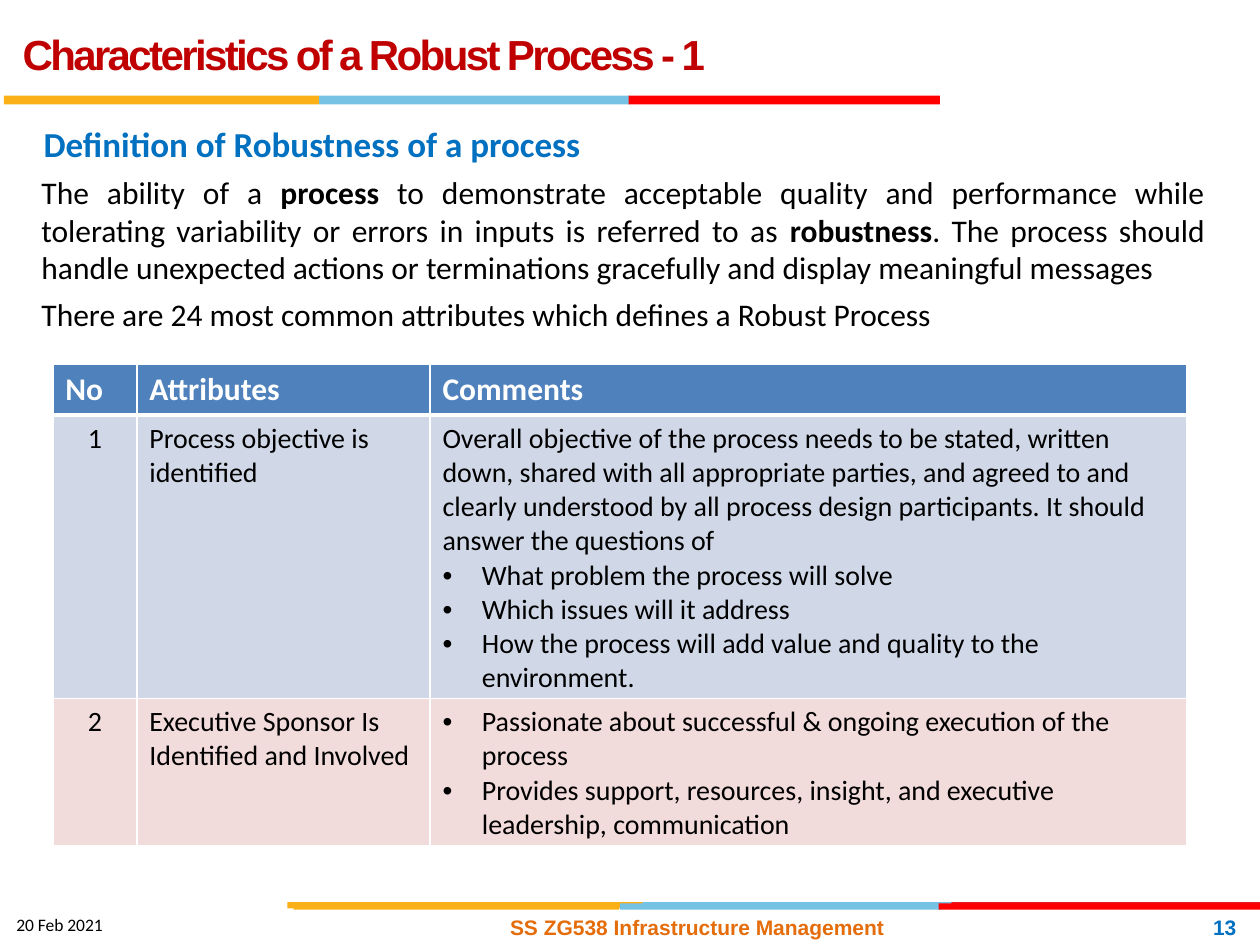
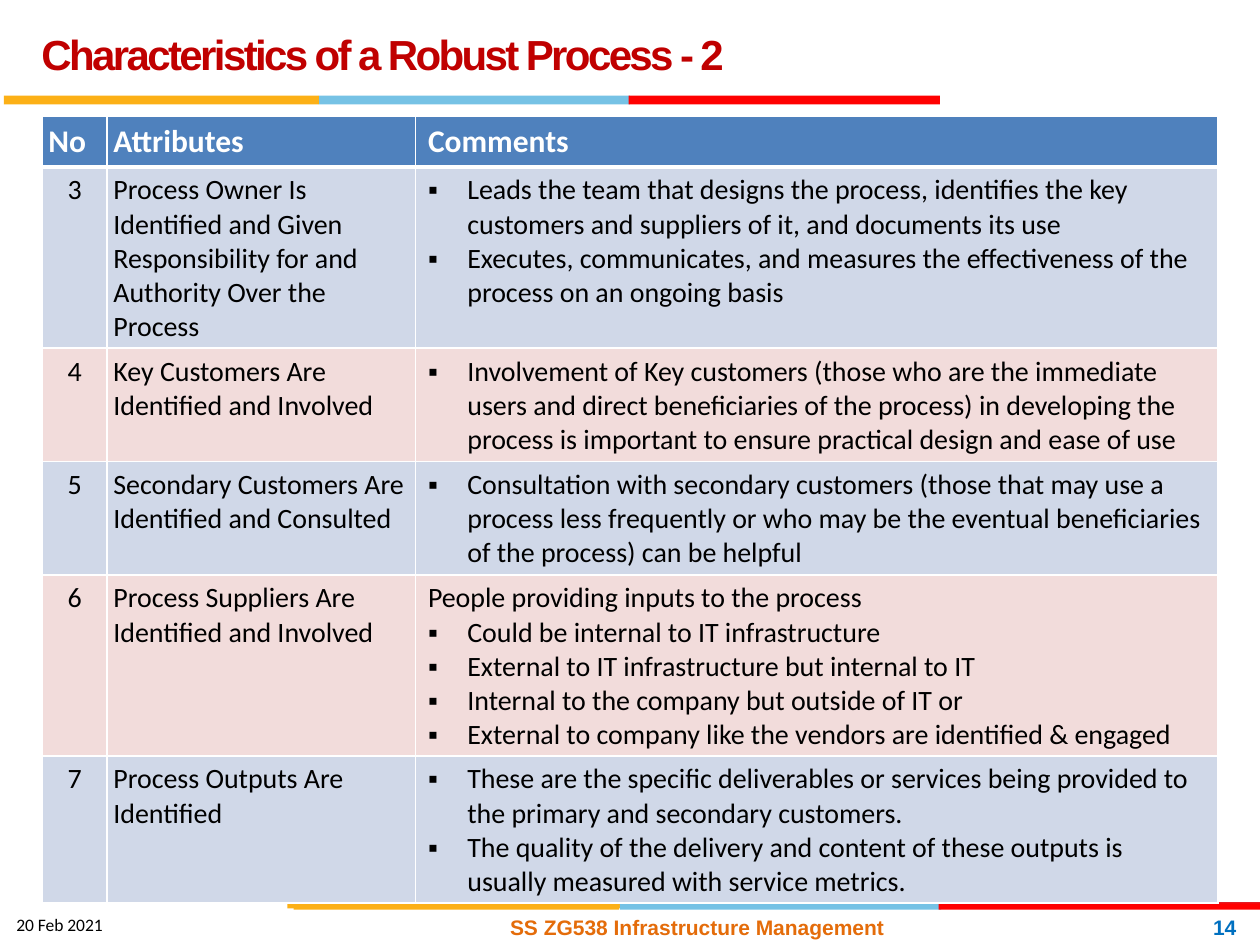
from dataclasses import dataclass

from lxml import etree
from pptx import Presentation
from pptx import util as u
from pptx.dml import color
from pptx.enum import shapes, text
from pptx.oxml import ns

Pt = u.Pt
ALIGN = text.PP_ALIGN


@dataclass(frozen=True)
class Theme:
    heading_font: str = "Arial"
    body_font: str = "Calibri"
    white: str = "FFFFFF"
    black: str = "000000"
    gold: str = "FCB017"
    sky: str = "76C2E5"
    crimson: str = "E31C24"
    red: str = "FF0000"
    title: str = "C00000"
    accent: str = "0070C0"
    course: str = "E46C0A"
    header_fill: str = "4F81BD"
    row_fills: tuple = ("D0D8E8", "F2DCDB")
    title_size: int = 24
    subtitle_size: int = 20
    body_size: int = 18
    cell_size: int = 16
    footer_size: int = 12
    date_size: int = 10


THEME = Theme()
SLIDE_WIDTH, SLIDE_HEIGHT = 720, 540
BULLET_INDENT = 22.5
LINE_HEIGHT, ROW_PADDING, HEADER_HEIGHT = 19.5, 6, 29.2
BANDS = [
    (515.5, 3.6, [(364.3, 183.6, THEME.sky), (543.6, 176.4, THEME.crimson),
                  (164.2, 203, THEME.gold)]),
    (516.2, 3.6, [(354.2, 183.6, THEME.sky), (167.8, 185.8, THEME.gold),
                  (536.4, 183.6, THEME.red)]),
    (54.7, 5, [(182.2, 177.8, THEME.sky), (2.2, 180, THEME.gold),
               (359.3, 177.8, THEME.red)]),
]
HEADINGS = ["No", "Attributes", "Comments"]


class Deck:
    def __init__(self, theme):
        self.theme = theme
        self.presentation = Presentation()
        self.presentation.slide_width = Pt(SLIDE_WIDTH)
        self.presentation.slide_height = Pt(SLIDE_HEIGHT)
        self.slide = None

    def start_slide(self):
        blank = self.presentation.slide_layouts[6]
        self.slide = self.presentation.slides.add_slide(blank)
        for top, height, segments in BANDS:
            for left, width, fill in segments:
                self.band(left, top, width, height, fill)
        date = self.box(2.2, 519, 65, 19.5, wrap=False)
        self.fill_paragraph(date.paragraphs[0], "20 Feb 2021", self.theme.date_size)

    def band(self, left, top, width, height, fill):
        segment = self.slide.shapes.add_shape(
            shapes.MSO_SHAPE.RECTANGLE, Pt(left), Pt(top), Pt(width), Pt(height))
        segment.shadow.inherit = False
        segment.fill.solid()
        segment.fill.fore_color.rgb = color.RGBColor.from_string(fill)
        segment.line.fill.background()

    def box(self, left, top, width, height, wrap=True, anchor=text.MSO_ANCHOR.TOP):
        frame = self.slide.shapes.add_textbox(
            Pt(left), Pt(top), Pt(width), Pt(height)).text_frame
        frame.word_wrap = wrap
        frame.vertical_anchor = anchor
        return frame

    def fill_paragraph(self, paragraph, words, size, ink=None, bold=False, font=None,
                       align=ALIGN.LEFT, indent=0, bullet=None):
        paragraph.alignment = align
        properties = paragraph._p.get_or_add_pPr()
        if bullet:
            properties.set("marL", str(Pt(BULLET_INDENT)))
            properties.set("indent", str(-Pt(BULLET_INDENT)))
            etree.SubElement(properties, ns.qn("a:buFont"), typeface="Arial")
            etree.SubElement(properties, ns.qn("a:buChar"), char=bullet)
        elif indent:
            properties.set("marL", str(Pt(indent)))
            properties.set("indent", "0")
        paragraph.font.name = font or self.theme.body_font
        paragraph.font.size = Pt(size)
        paragraph.font.color.rgb = color.RGBColor.from_string(ink or self.theme.black)
        pieces = words.split("**")
        if len(pieces) == 1:
            paragraph.font.bold = bold
        for position, piece in enumerate(pieces):
            run = paragraph.add_run()
            run.text = piece
            if len(pieces) > 1:
                run.font.bold = position % 2 == 1

    def title(self, words, left):
        frame = self.box(left, 6.5, 553, 41, anchor=text.MSO_ANCHOR.MIDDLE)
        heading = frame.paragraphs[0]
        self.fill_paragraph(heading, words, self.theme.title_size, self.theme.title,
                            bold=True, font=self.theme.heading_font)
        heading.line_spacing = Pt(36)
        heading.runs[0]._r.get_or_add_rPr().set("spc", "-150")

    def footer(self, number):
        for left, width, words, ink, align in (
                (282.2, 232.6, "SS ZG538 Infrastructure Management",
                 self.theme.course, ALIGN.CENTER),
                (545.8, 167.8, str(number), self.theme.accent, ALIGN.RIGHT)):
            frame = self.box(left, 515.5, width, 28.8, anchor=text.MSO_ANCHOR.MIDDLE)
            self.fill_paragraph(frame.paragraphs[0], words, self.theme.footer_size, ink,
                                bold=True, font=self.theme.heading_font, align=align)

    def definition(self, subtitle, statements):
        frame = self.box(-12.2, 66.2, 707.8, 128.9)
        self.fill_paragraph(frame.paragraphs[0], subtitle, self.theme.subtitle_size,
                            self.theme.accent, bold=True, align=ALIGN.JUSTIFY, indent=30)
        for statement in statements:
            paragraph = frame.add_paragraph()
            paragraph.space_before = Pt(5)
            self.fill_paragraph(paragraph, statement, self.theme.body_size,
                                align=ALIGN.JUSTIFY, indent=28.8)

    def style_cell(self, cell, fill, inset, bottom_width=1):
        cell.margin_left = cell.margin_right = Pt(inset)
        cell.margin_top = cell.margin_bottom = Pt(3.6)
        properties = cell._tc.get_or_add_tcPr()
        for side, width in (("L", 1), ("R", 1), ("T", 1), ("B", bottom_width)):
            line = etree.SubElement(properties, ns.qn(f"a:ln{side}"), w=str(Pt(width)))
            paint = etree.SubElement(line, ns.qn("a:solidFill"))
            etree.SubElement(paint, ns.qn("a:srgbClr"), val=self.theme.white)
        cell.fill.solid()
        cell.fill.fore_color.rgb = color.RGBColor.from_string(fill)

    def attributes(self, left, top, widths, entries, bullet, narrow_inset=7.2):
        heights = [HEADER_HEIGHT] + [
            lines * LINE_HEIGHT + ROW_PADDING for *_, lines in entries]
        table = self.slide.shapes.add_table(
            len(heights), len(widths), Pt(left), Pt(top),
            Pt(sum(widths)), Pt(sum(heights))).table
        table.horz_banding = False
        for column, width in zip(table.columns, widths):
            column.width = Pt(width)
        for row, height in zip(table.rows, heights):
            row.height = Pt(height)
        insets = (narrow_inset, narrow_inset, 7.2)
        for column, heading in enumerate(HEADINGS):
            cell = table.cell(0, column)
            self.style_cell(cell, self.theme.header_fill, insets[column], 3)
            self.fill_paragraph(cell.text_frame.paragraphs[0], heading,
                                self.theme.body_size, self.theme.white, bold=True)
        for row, (number, attribute, intro, points, _) in enumerate(entries, 1):
            fill = self.theme.row_fills[(row - 1) % 2]
            comments = [(intro, None)] if intro else []
            comments += [(point, bullet) for point in points]
            contents = [[(str(number), None)], [(attribute, None)], comments]
            for column, paragraphs in enumerate(contents):
                cell = table.cell(row, column)
                self.style_cell(cell, fill, insets[column])
                frame = cell.text_frame
                for position, (words, mark) in enumerate(paragraphs):
                    paragraph = frame.add_paragraph() if position else frame.paragraphs[0]
                    self.fill_paragraph(paragraph, words, self.theme.cell_size, bullet=mark,
                                        align=ALIGN.LEFT if column else ALIGN.CENTER)


FIRST_ATTRIBUTES = [
    (1, "Process objective is identified",
     "Overall objective of the process needs to be stated, written down, shared with "
     "all appropriate parties, and agreed to and clearly understood by all process "
     "design participants. It should answer the questions of",
     ["What problem the process will solve",
      "Which issues will it address",
      "How the process will add value and quality to the environment."], 8),
    (2, "Executive Sponsor Is Identified and Involved", None,
     ["Passionate about successful & ongoing execution of the process",
      "Provides support, resources, insight, and executive leadership, communication"],
     4),
]

SECOND_ATTRIBUTES = [
    (3, "Process Owner Is Identified and Given Responsibility for and Authority Over "
        "the Process", None,
     ["Leads the team that designs the process, identifies the key customers and "
      "suppliers of it, and documents its use",
      "Executes, communicates, and measures the effectiveness of the process on an "
      "ongoing basis"], 5),
    (4, "Key Customers Are Identified and Involved", None,
     ["Involvement of Key customers (those who are the immediate users and direct "
      "beneficiaries of the process) in developing the process is important to ensure "
      "practical design and ease of use"], 3),
    (5, "Secondary Customers Are Identified and Consulted", None,
     ["Consultation with secondary customers (those that may use a process less "
      "frequently or who may be the eventual beneficiaries of the process) can be "
      "helpful"], 3),
    (6, "Process Suppliers Are Identified and Involved",
     "People providing inputs to the process",
     ["Could be internal to IT infrastructure",
      "External to IT infrastructure but internal to IT",
      "Internal to the company but outside of IT or",
      "External to company like the vendors are identified & engaged"], 5),
    (7, "Process Outputs Are Identified", None,
     ["These are the specific deliverables or services being provided to the primary "
      "and secondary customers.",
      "The quality of the delivery and content of these outputs is usually measured "
      "with service metrics."], 4),
]


def main():
    deck = Deck(THEME)

    deck.start_slide()
    deck.attributes(30.2, 208, (48, 167.5, 432.5), FIRST_ATTRIBUTES, "•")
    deck.title("Characteristics of a Robust Process - 1", 5.8)
    deck.footer(13)
    deck.definition("Definition of Robustness of a process", [
        "The ability of a **process** to demonstrate acceptable quality and performance "
        "while tolerating variability or errors in inputs is referred to as "
        "**robustness**. The process should handle unexpected actions or terminations "
        "gracefully and display meaningful messages",
        "There are 24 most common attributes which defines a Robust Process",
    ])

    deck.start_slide()
    deck.attributes(24, 66.2, (37.2, 176.2, 458.6), SECOND_ATTRIBUTES, "▪", 3.6)
    deck.title("Characteristics of a Robust Process - 2", 16.6)
    deck.footer(14)

    deck.presentation.save("out.pptx")


if __name__ == "__main__":
    main()
